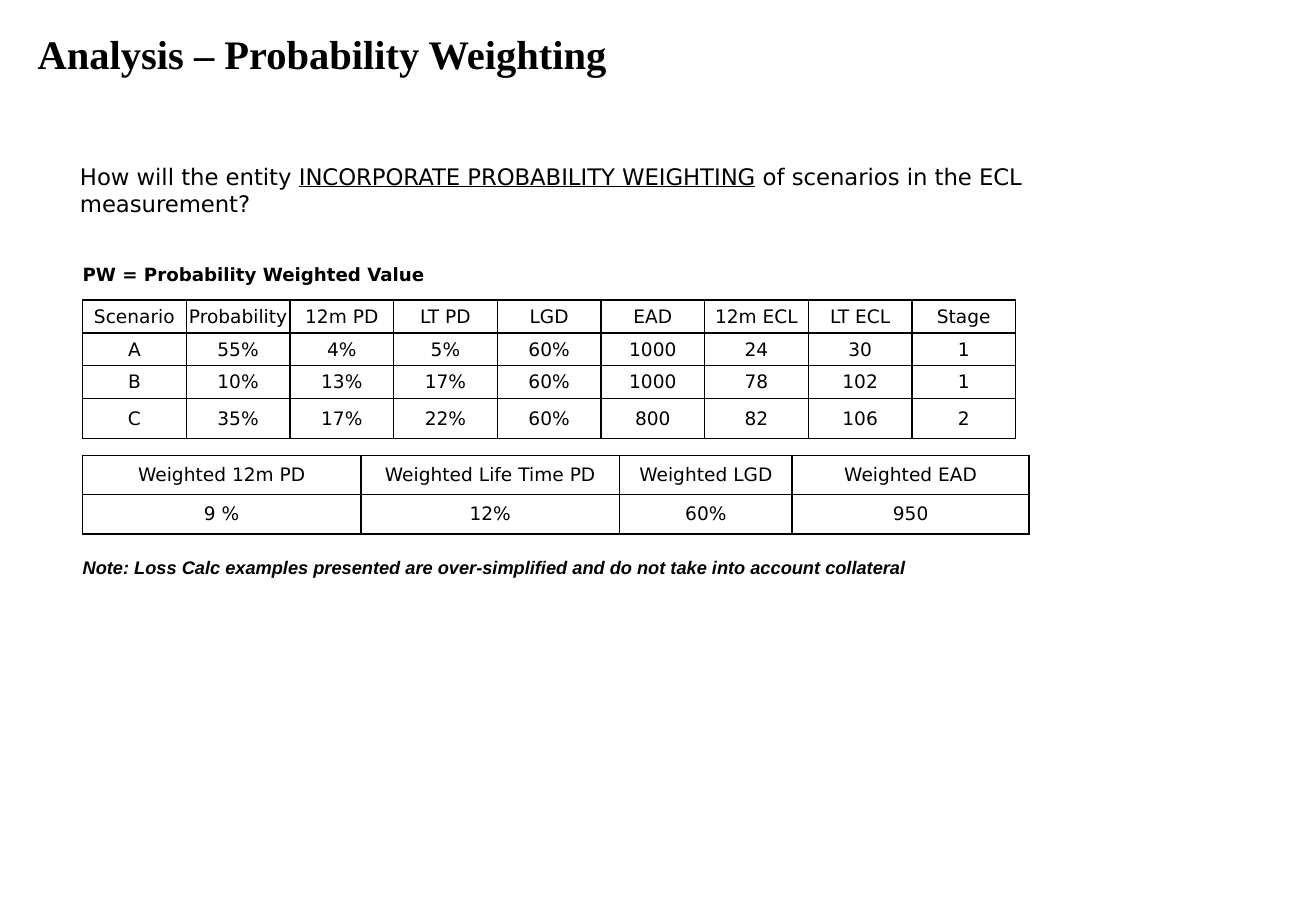
import pptx
import pptx.dml.color
import pptx.enum.text
import pptx.oxml
import pptx.oxml.ns
import pptx.util
from pptx.util import Inches

BLACK = "000000"
WHITE = "FFFFFF"
BODY_FONT = "DejaVu Sans"

SCENARIOS = [
    ["Scenario", "Probability", "12m PD", "LT PD", "LGD", "EAD", "12m ECL", "LT ECL", "Stage"],
    ["A", "55%", "4%", "5%", "60%", "1000", "24", "30", "1"],
    ["B", "10%", "13%", "17%", "60%", "1000", "78", "102", "1"],
    ["C", "35%", "17%", "22%", "60%", "800", "82", "106", "2"],
]
WEIGHTED = [
    ["Weighted 12m PD", "Weighted Life Time PD", "Weighted LGD", "Weighted EAD"],
    ["9 %", "12%", "60%", "950"],
]


def rgb(colour):
    return pptx.dml.color.RGBColor.from_string(colour)


def style_run(run, size, font=BODY_FONT, bold=False, italic=False, underline=False):
    run.font.size = pptx.util.Pt(size)
    run.font.name = font
    run.font.bold = bold
    run.font.italic = italic
    run.font.underline = underline
    run.font.color.rgb = rgb(BLACK)


def set_margins(target, margins):
    (target.margin_left, target.margin_top,
     target.margin_right, target.margin_bottom) = [Inches(m) for m in margins]


def add_text(slide, box, parts, size, margins=(0, 0, 0, 0), spacing=None, **style):
    """Add one paragraph made of (wording, underlined) parts."""
    frame = slide.shapes.add_textbox(*[Inches(v) for v in box]).text_frame
    frame.word_wrap = True
    set_margins(frame, margins)
    paragraph = frame.paragraphs[0]
    if spacing:
        paragraph.line_spacing = spacing
    for wording, underlined in parts:
        run = paragraph.add_run()
        run.text = wording
        style_run(run, size, underline=underlined, **style)


def add_borders(cell):
    properties = cell._tc.get_or_add_tcPr()
    for side in ("lnL", "lnR", "lnT", "lnB"):
        properties.append(pptx.oxml.parse_xml(
            f'<a:{side} {pptx.oxml.ns.nsdecls("a")} w="12700"><a:solidFill>'
            f'<a:srgbClr val="{BLACK}"/></a:solidFill></a:{side}>'))


def add_grid(slide, left, top, rows, widths, heights, margins, anchor):
    table = slide.shapes.add_table(
        len(rows), len(widths), Inches(left), Inches(top),
        Inches(sum(widths)), Inches(sum(heights))).table
    table.first_row = False
    table.horz_banding = False
    for column, width in zip(table.columns, widths):
        column.width = Inches(width)
    for row, height, values in zip(table.rows, heights, rows):
        row.height = Inches(height)
        for cell, value in zip(row.cells, values):
            add_borders(cell)
            cell.fill.solid()
            cell.fill.fore_color.rgb = rgb(WHITE)
            set_margins(cell, margins)
            cell.vertical_anchor = anchor
            paragraph = cell.text_frame.paragraphs[0]
            paragraph.text = value
            paragraph.alignment = pptx.enum.text.PP_ALIGN.CENTER
            style_run(paragraph.runs[0], 11)


def main():
    deck = pptx.Presentation()
    deck.slide_width = Inches(10.83)
    deck.slide_height = Inches(7.5)
    slide = deck.slides.add_slide(deck.slide_layouts[6])
    anchors = pptx.enum.text.MSO_ANCHOR
    left = 0.68

    # Title and question
    add_text(slide, (0.31, 0.28, 10.2, 1.01), [("Analysis – Probability Weighting", False)],
             24, spacing=0.9, font="Times New Roman", bold=True)
    add_text(slide, (0.56, 1.29, 9.48, 0.56),
             [("How will the entity ", False),
              ("INCORPORATE PROBABILITY WEIGHTING", True),
              (" of scenarios in the ECL measurement?", False)],
             13.5, margins=(0.1, 0.05, 0.3, 0.05))

    # Scenario table
    add_text(slide, (left, 2.17, 7.55, 0.18), [("PW = Probability Weighted Value", False)],
             10.8, bold=True)
    columns = len(SCENARIOS[0])
    add_grid(slide, left, 2.47, SCENARIOS, [7.68 / columns] * columns,
             [0.27, 0.27, 0.27, 0.33], (0.01, 0.01, 0.01, 0), anchors.MIDDLE)

    # Weighted results and note
    add_grid(slide, left, 3.75, WEIGHTED, [2.29, 2.13, 1.42, 1.95],
             [0.32, 0.32], (0.13, 0.07, 0.13, 0.07), anchors.TOP)
    add_text(slide, (left, 4.58, 9.48, 0.18),
             [("Note: Loss Calc examples presented are over-simplified "
               "and do not take into account collateral", False)],
             10.8, font="Arial", bold=True, italic=True)

    deck.save("out.pptx")


if __name__ == "__main__":
    main()
